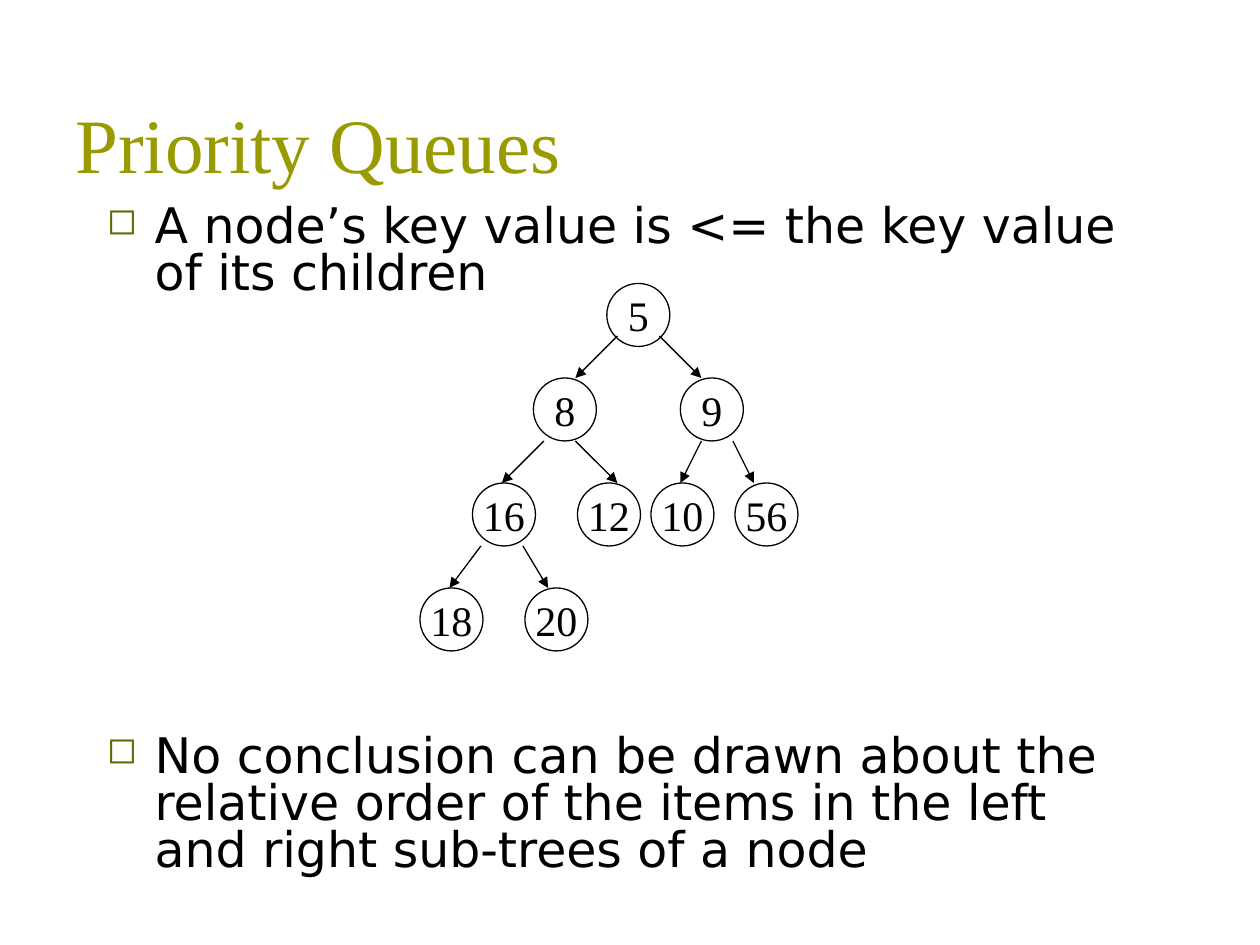
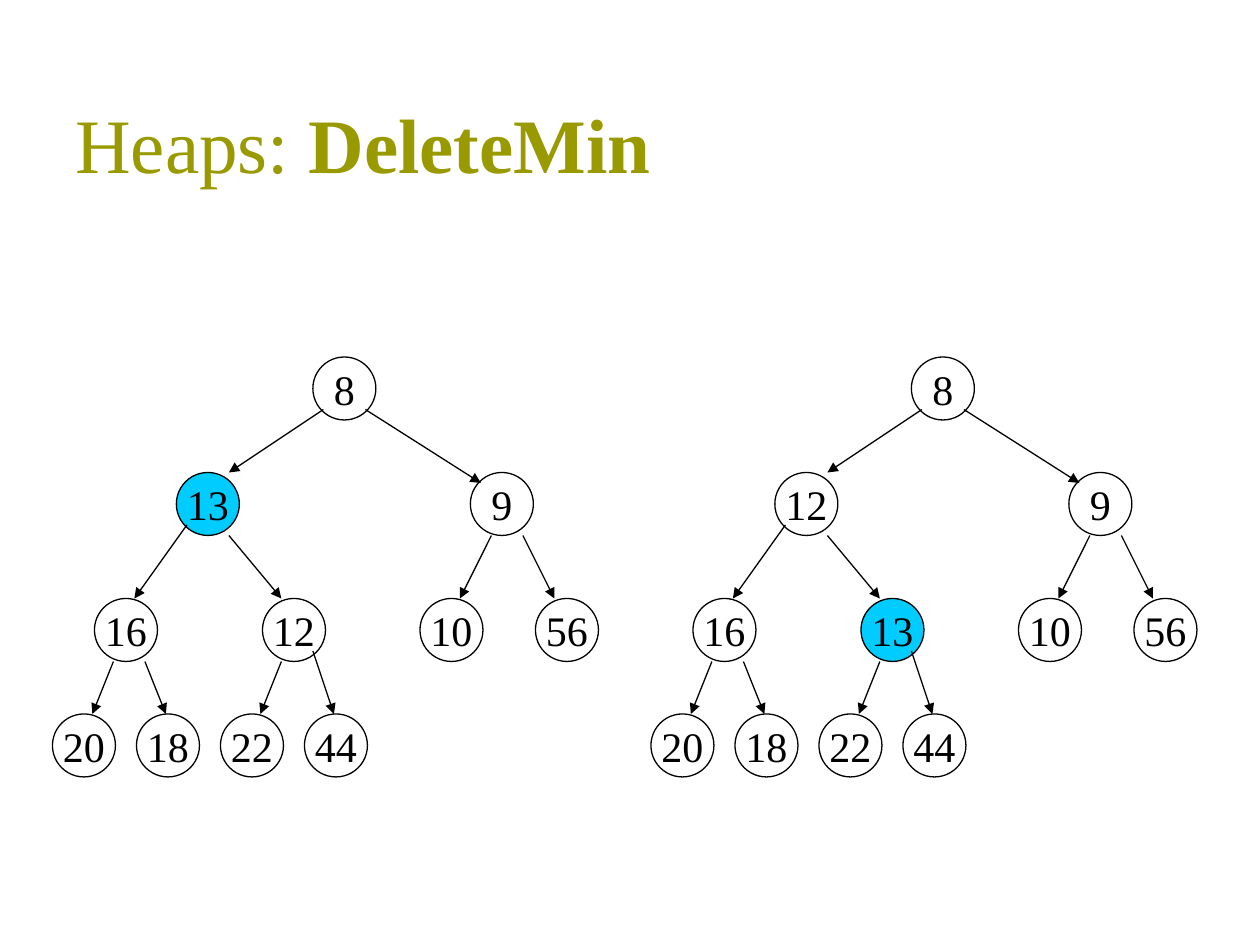
from lxml import etree
from pptx import Presentation
from pptx.dml.color import RGBColor
from pptx.enum.shapes import MSO_CONNECTOR, MSO_SHAPE
from pptx.enum.text import MSO_ANCHOR, PP_ALIGN
from pptx.oxml.ns import qn
from pptx.util import Inches, Pt

LINE = MSO_CONNECTOR.STRAIGHT
OVAL = MSO_SHAPE.OVAL
TOP, MIDDLE, BOTTOM = MSO_ANCHOR.TOP, MSO_ANCHOR.MIDDLE, MSO_ANCHOR.BOTTOM
LEFT, CENTER = PP_ALIGN.LEFT, PP_ALIGN.CENTER

COLS, ROWS = 120, 90
NODE = 6
BLACK, OLIVE, MOSS, CYAN = "000000", "999900", "666600", "00CCFF"
SERIF, SANS = "Times New Roman", "DejaVu Sans"
TITLE = {"name": SERIF, "size": Pt(44), "color": OLIVE}
BODY = {"name": SANS, "size": Pt(28), "color": BLACK}
LABEL = {"name": SERIF, "size": Pt(24), "color": BLACK}

# Each node: left, then its arrow's start column, rise, end column, dip.
QUEUE = [
    (57.8,),
    (50.8, 58.8, 1, 54.8, 0), (64.8, 62.8, 1, 66.8, 0),
    (45, 51.8, 0, 47.8, 0), (55, 54.8, 0, 58.8, 0),
    (62, 66.8, 0, 64.8, 0), (70, 69.8, 0, 71.8, 0),
    (40, 45.8, 0, 42.8, 0), (50, 49.8, 0, 52.2, 0),
]
HEAP = [
    (29.8,),
    (16.8, 30.8, 1, 21.8, 0), (44.8, 34.8, 1, 45.8, 1),
    (9, 17.8, 1, 12.8, 0), (25, 21.8, 0, 26.8, 0),
    (40, 46.8, 0, 43.8, 0), (51, 49.8, 0, 52.8, 0),
    (5, 10.8, 0, 8.8, 0), (13, 13.8, 0, 15.8, 0),
    (21, 26.8, 0, 24.8, 0), (29, 29.8, 1, 31.8, 0),
]


def rgb(code):
    """Turn a hex string into a colour."""
    return RGBColor.from_string(code)


class Deck:
    """Hold the presentation, its grid and the current slide."""

    def __init__(self):
        """Start an empty deck of 10 by 7.5 inches."""
        self.show = Presentation()
        self.show.slide_width, self.show.slide_height = Inches(10), Inches(7.5)
        self.slide = None

    def grid(self, *spans):
        """Turn alternating columns and rows into lengths."""
        units = (self.show.slide_width / COLS, self.show.slide_height / ROWS)
        return [round(span * units[i % 2]) for i, span in enumerate(spans)]

    def page(self, *parts):
        """Add a blank slide with a title of (text, bold) parts."""
        self.slide = self.show.slides.add_slide(self.show.slide_layouts[6])
        para = self.box(6, 3.6, 108, 15, BOTTOM).paragraphs[0]
        for text, bold in parts:
            self.run(para, text, {**TITLE, "bold": bold})

    def box(self, x, y, wide, high, anchor):
        """Add a wrapping text box and return its frame."""
        frame = self.slide.shapes.add_textbox(*self.grid(x, y, wide, high)).text_frame
        frame.word_wrap, frame.vertical_anchor = True, anchor
        return frame

    def run(self, para, text, style):
        """Add a run and set its font from a dict."""
        run = para.add_run()
        run.text = text
        for key, value in style.items():
            if key == "color":
                run.font.color.rgb = rgb(value)
            else:
                setattr(run.font, key, value)

    def points(self, texts, gap):
        """Add the body box with square bullets and a gap between them."""
        frame = self.box(9, 19, 102, 67, TOP)
        for i, text in enumerate(texts):
            para = frame.add_paragraph() if i else frame.paragraphs[0]
            self.bullet(para)
            para.alignment, para.line_spacing = LEFT, 0.8
            para.space_before = Pt(gap if i else 0)
            self.run(para, text, BODY)

    def bullet(self, para):
        """Give a paragraph a hanging square bullet."""
        props = para._p.get_or_add_pPr()
        props.set("marL", str(Inches(0.38)))
        props.set("indent", str(-Inches(0.38)))
        tint = etree.SubElement(props, qn("a:buClr"))
        etree.SubElement(tint, qn("a:srgbClr"), val=MOSS)
        etree.SubElement(props, qn("a:buSzPct"), val="75000")
        etree.SubElement(props, qn("a:buChar"), char="◻")

    def node(self, x, y, text, fill):
        """Add a labelled circle."""
        disc = self.slide.shapes.add_shape(OVAL, *self.grid(x, y, NODE, NODE))
        disc.shadow.inherit = False
        if fill:
            disc.fill.solid()
            disc.fill.fore_color.rgb = rgb(fill)
        else:
            disc.fill.background()
        disc.line.color.rgb, disc.line.width = rgb(BLACK), Pt(0.75)
        frame = disc.text_frame
        frame.word_wrap, frame.vertical_anchor = False, MIDDLE
        para = frame.paragraphs[0]
        para.alignment = CENTER
        self.run(para, text, LABEL)

    def arrow(self, *ends):
        """Add a thin line with a triangle at its end."""
        link = self.slide.shapes.add_connector(LINE, *self.grid(*ends))
        link.line.color.rgb, link.line.width = rgb(BLACK), Pt(0.75)
        etree.SubElement(link.line._get_or_add_ln(), qn("a:tailEnd"), type="triangle")
        etree.SubElement(link._element.spPr, qn("a:effectLst"))

    def tree(self, nodes, tops, keys, shift=0, mark=None):
        """Draw a binary tree whose nodes are listed level by level."""
        for i, ((x, *edge), key) in enumerate(zip(nodes, keys.split())):
            level = (i + 1).bit_length() - 1
            self.node(x + shift, tops[level], key, CYAN if key == mark else None)
            if edge:
                start, rise, end, dip = edge
                self.arrow(start + shift, tops[level - 1] + NODE - rise,
                           end + shift, tops[level] + dip)


def main():
    """Build both slides and save them."""
    deck = Deck()
    deck.page(("Priority Queues", False))
    deck.points([
        "A node’s key value is <= the key value of its children",
        "No conclusion can be drawn about the relative order of the items "
        "in the left and right sub-trees of a node",
    ], 249)
    deck.tree(QUEUE, (27, 36, 46, 56), "5 8 9 16 12 10 56 18 20")

    deck.page(("Heaps: ", False), ("DeleteMin", True))
    tops = (34, 45, 57, 68)
    deck.tree(HEAP, tops, "8 13 9 16 12 10 56 20 18 22 44", mark="13")
    deck.tree(HEAP, tops, "8 12 9 16 13 10 56 20 18 22 44", shift=57, mark="13")
    deck.show.save("out.pptx")


if __name__ == "__main__":
    main()
